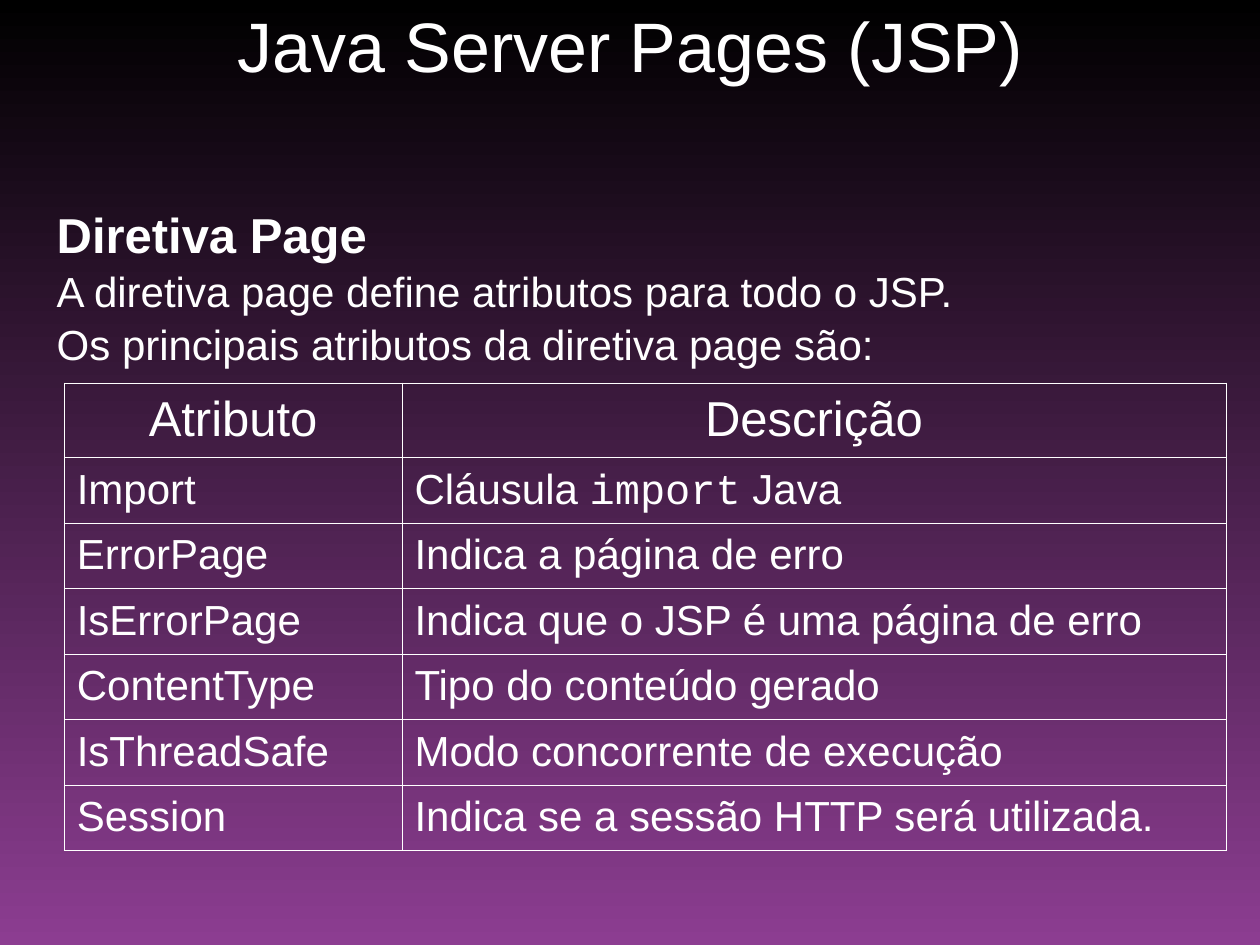
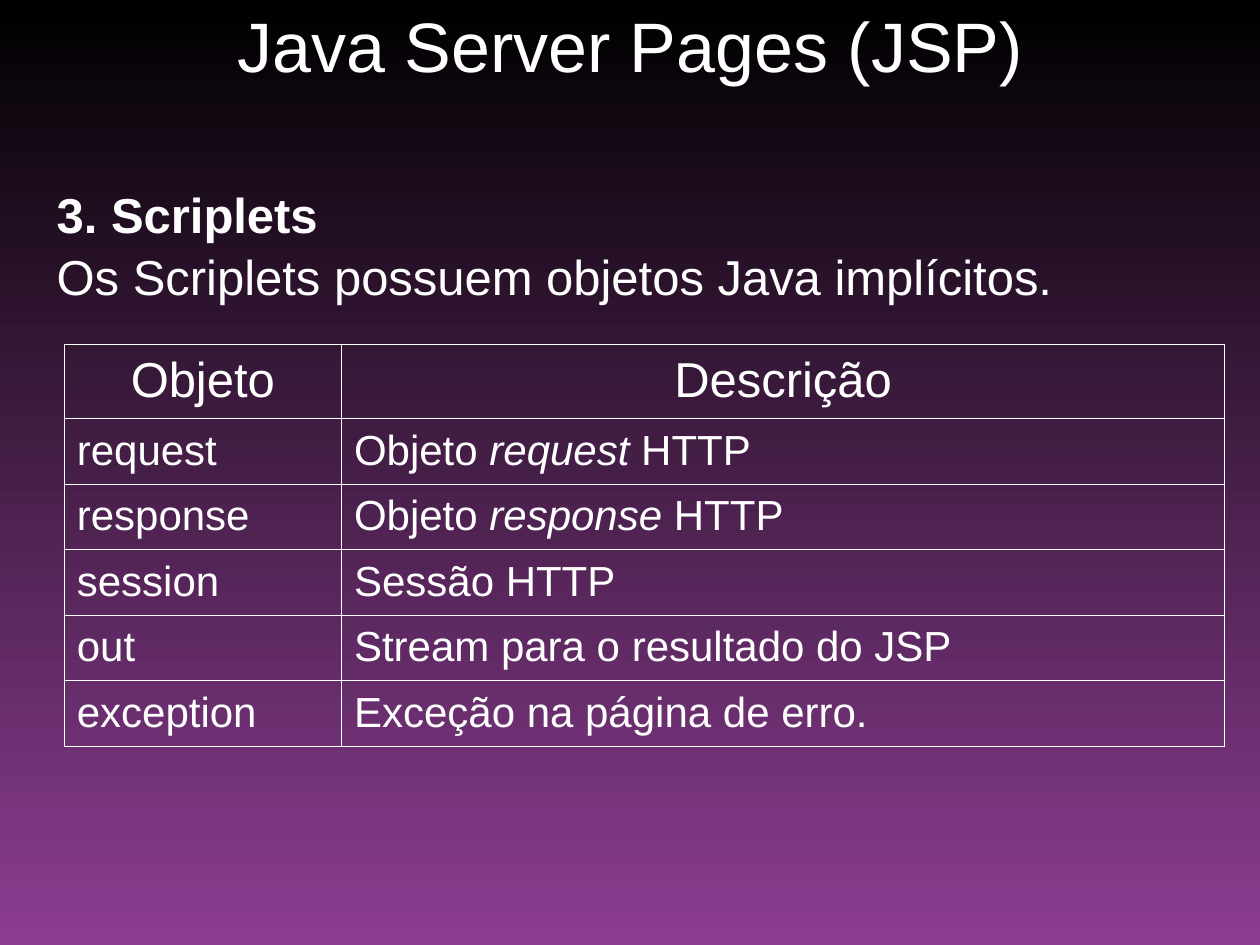
from pptx import Presentation
from pptx.dml.color import RGBColor
from pptx.enum.text import MSO_ANCHOR as Anchor, MSO_AUTO_SIZE as Fit, PP_ALIGN as Align
from pptx.oxml.ns import qn
from pptx.util import Inches, Pt
from lxml.etree import SubElement as Sub

WHITE, BLACK, PURPLE = "FFFFFF", "000000", "8C3D91"
FONT, CODE = "Arial", "Courier New"
COLS, ROWS = 10, 7.5
UNIT = Inches(1)
TITLE = "Java Server Pages (JSP)"
BIG, MID, SMALL = 40, 28, 24
LEAD = 1.05
LINE = 0.45
HEAD, FIRST, NEXT, REST = 0.57, 0.52, 0.51, 0.5

PAGE = {
    "text": (0.35, 1.55, 9.37, 1.77),
    "lines": [("Diretiva Page", MID),
              ("A diretiva page define atributos para todo o JSP.", SMALL),
              ("Os principais atributos da diretiva page são:", SMALL)],
    "grid": (0.51, 3.04, 9.22, 3.6),
    "split": 2.68,
    "mark": {"name": CODE},
    "cells": [("Atributo", "Descrição"),
              ("Import", "Cláusula |import| Java"),
              ("ErrorPage", "Indica a página de erro"),
              ("IsErrorPage", "Indica que o JSP é uma página de erro"),
              ("ContentType", "Tipo do conteúdo gerado"),
              ("IsThreadSafe", "Modo concorrente de execução"),
              ("Session", "Indica se a sessão HTTP será utilizada.")],
}
SCRIPT = {
    "text": (0.35, 1.39, 9.37, 1.04),
    "lines": [("3. Scriplets", MID),
              ("Os Scriplets possuem objetos Java implícitos.", MID)],
    "grid": (0.51, 2.73, 9.21, 3.1),
    "split": 2.2,
    "mark": {"italic": True},
    "cells": [("Objeto", "Descrição"),
              ("request", "Objeto |request| HTTP"),
              ("response", "Objeto |response| HTTP"),
              ("session", "Sessão HTTP"),
              ("out", "Stream para o resultado do JSP"),
              ("exception", "Exceção na página de erro.")],
}


def tint(code):
    """Turn a hex string into a colour."""
    return RGBColor.from_string(code)


def span(count):
    """Turn grid columns or rows into a length."""
    return int(UNIT * count)


def place(shape, box):
    """Move a shape to a box given in grid units."""
    shape.left, shape.top, shape.width, shape.height = map(span, box)


def style(para, size, bold=False, align=Align.LEFT):
    """Format a paragraph and all of its runs."""
    para.alignment = align
    para.line_spacing = LEAD
    para.space_before = Pt(0)
    for run in para.runs:
        font = run.font
        font.name, font.size, font.bold = FONT, Pt(size), bold
        font.color.rgb = tint(WHITE)


def paint(master):
    """Give the master its vertical gradient."""
    fill = master.background.fill
    fill.gradient()
    fill.gradient_angle = 270
    for stop, code, spot in zip(fill.gradient_stops, (BLACK, PURPLE), (0, 1)):
        stop.color.rgb = tint(code)
        stop.position = spot


def add_title(slide, box):
    """Fill the title placeholder."""
    title = slide.shapes.title
    place(title, box)
    frame = title.text_frame
    frame.text = TITLE
    frame.auto_size = Fit.NONE
    frame.vertical_anchor = Anchor.MIDDLE
    style(frame.paragraphs[0], BIG, align=Align.CENTER)


def add_body(slide, box, lines):
    """Fill the body placeholder with a bold heading and plain lines."""
    body = slide.placeholders[1]
    place(body, box)
    frame = body.text_frame
    frame.text = "\n".join(text for text, _ in lines)
    frame.auto_size = Fit.SHAPE_TO_FIT_TEXT
    for i, (para, (_, size)) in enumerate(zip(frame.paragraphs, lines)):
        props = para._p.get_or_add_pPr()
        props.set("marL", "0")
        props.set("indent", "0")
        Sub(props, qn("a:buNone"))
        style(para, size, bold=i == 0)


def edge(cell):
    """Draw thin white borders around a clear cell."""
    props = cell._tc.get_or_add_tcPr()
    for side in "LRTB":
        line = Sub(props, qn(f"a:ln{side}"), w=str(Pt(LINE)))
        Sub(Sub(line, qn("a:solidFill")), qn("a:srgbClr"), val=WHITE)
    cell.fill.background()


def fill_cell(cell, text, head, mark):
    """Write a cell, marking the runs between bars."""
    edge(cell)
    para = cell.text_frame.paragraphs[0]
    for part in text.split("|"):
        para.add_run().text = part
    style(para, MID if head else SMALL, align=Align.CENTER if head else Align.LEFT)
    for run in para.runs[1::2]:
        for key, value in mark.items():
            setattr(run.font, key, value)


def add_grid(slide, box, split, cells, mark):
    """Add a two-column table with a centred header."""
    table = slide.shapes.add_table(len(cells), 2, *map(span, box)).table
    table.first_row = table.horz_banding = False
    for col, wide in zip(table.columns, (split, box[2] - split)):
        col.width = span(wide)
    highs = [HEAD, FIRST, NEXT] + [REST] * (len(cells) - 3)
    for i, (row, high, texts) in enumerate(zip(table.rows, highs, cells)):
        row.height = span(high)
        for cell, text in zip(row.cells, texts):
            fill_cell(cell, text, i == 0, mark)


def add_slide(deck, data):
    """Build one slide of title, text and table."""
    slide = deck.slides.add_slide(deck.slide_layouts[1])
    add_title(slide, (0, 0, COLS, 0.68))
    add_body(slide, data["text"], data["lines"])
    add_grid(slide, data["grid"], data["split"], data["cells"], data["mark"])


def main():
    """Build and save the deck."""
    deck = Presentation()
    deck.slide_width, deck.slide_height = span(COLS), span(ROWS)
    paint(deck.slide_master)
    for data in (PAGE, SCRIPT):
        add_slide(deck, data)
    deck.save("out.pptx")


if __name__ == "__main__":
    main()
